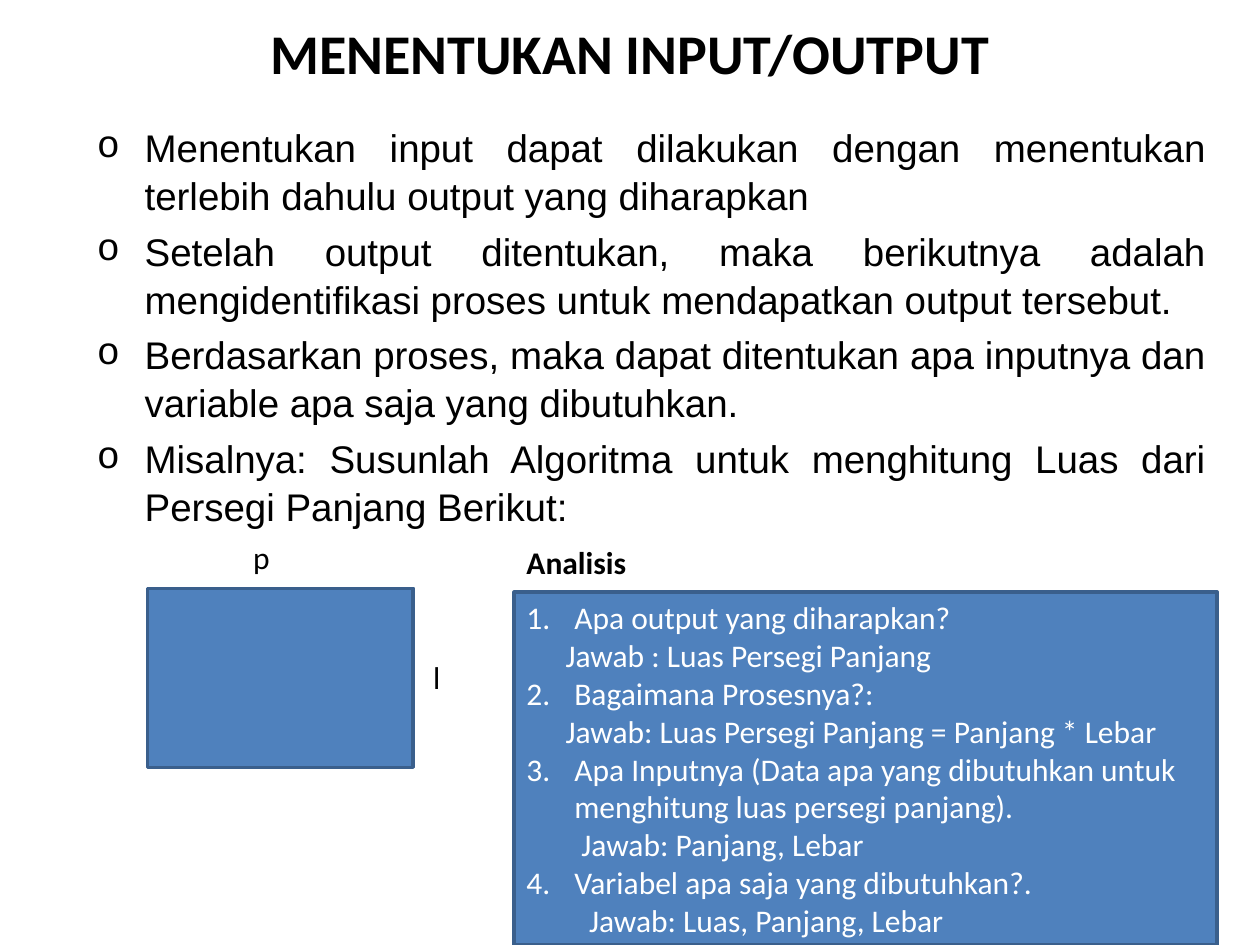
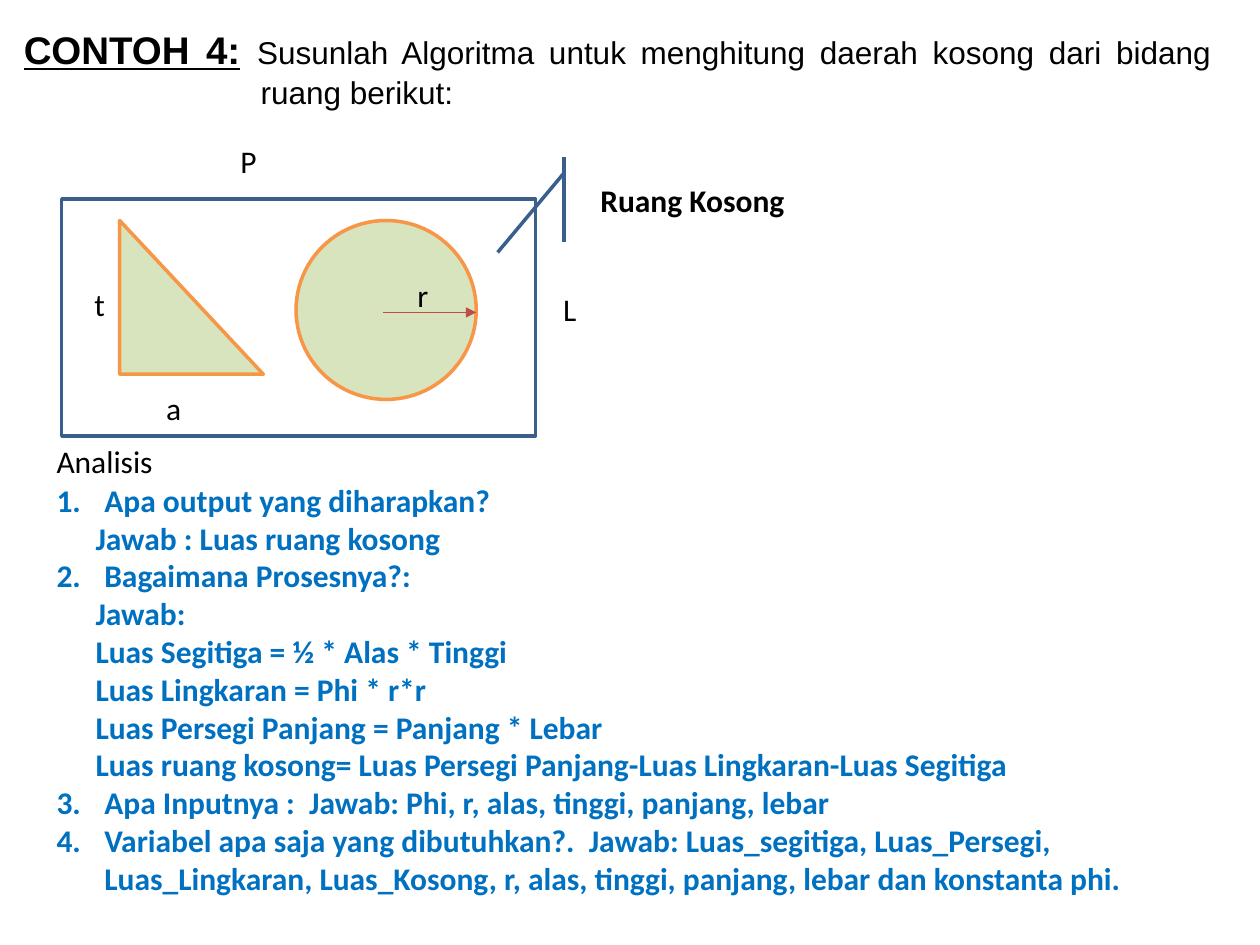
import pptx
import pptx.util
import pptx.dml.color
import pptx.enum.shapes
import pptx.enum.text
import pptx.oxml
import pptx.oxml.ns

COLUMNS, ROWS = 100, 75
SLIDE_WIDTH, SLIDE_HEIGHT = pptx.util.Inches(10), pptx.util.Inches(7.5)
HEADING_FONT, BODY_FONT = "Calibri", "Arial"
BLACK, WHITE = "000000", "FFFFFF"
BLUE, DARK_BLUE, ANSWER_BLUE = "4F81BD", "3A5F8C", "0070C0"
GREEN, ORANGE, RED = "D7E4BD", "F79646", "BF4C48"
HANG = 0.38
ANSWER_INDENT = 0.31
SHAPES = pptx.enum.shapes.MSO_SHAPE
ALIGN = pptx.enum.text.PP_ALIGN
ANCHOR = pptx.enum.text.MSO_ANCHOR


def color(value):
    return pptx.dml.color.RGBColor.from_string(value)


def across(columns):
    return round(SLIDE_WIDTH * columns / COLUMNS)


def down(rows):
    return round(SLIDE_HEIGHT * rows / ROWS)


def place(left, top, width, height):
    return across(left), down(top), across(width), down(height)


def format_run(run, size=18, font=HEADING_FONT, fill=BLACK, bold=False, underline=False):
    run.font.size = pptx.util.Pt(size)
    run.font.name = font
    run.font.color.rgb = color(fill)
    run.font.bold = bold
    run.font.underline = underline


def set_indent(paragraph, margin, first, bullet=None):
    properties = paragraph._p.get_or_add_pPr()
    properties.set("marL", str(pptx.util.Inches(margin)))
    properties.set("indent", str(pptx.util.Inches(first)))
    if bullet == "number":
        tag, attributes = "a:buAutoNum", {"type": "arabicPeriod"}
    elif bullet:
        font = pptx.oxml.ns.qn("a:buFont")
        properties.append(properties.makeelement(font, {"typeface": "Courier New"}))
        tag, attributes = "a:buChar", {"char": bullet}
    else:
        tag, attributes = "a:buNone", {}
    properties.append(properties.makeelement(pptx.oxml.ns.qn(tag), attributes))


def add_text(shapes, box, text="", wrap=True, anchor=ANCHOR.TOP, align=ALIGN.LEFT, **style):
    shape = shapes.add_textbox(*place(*box))
    write(shape, text, wrap, anchor, align, **style)
    return shape


def write(shape, text, wrap=True, anchor=ANCHOR.TOP, align=ALIGN.LEFT, **style):
    frame = shape.text_frame
    frame.word_wrap = wrap
    frame.vertical_anchor = anchor
    frame.text = text
    for paragraph in frame.paragraphs:
        paragraph.alignment = align
        for run in paragraph.runs:
            format_run(run, **style)


def add_figure(shapes, kind, box, fill=None, line=None):
    shape = shapes.add_shape(kind, *place(*box))
    shape.shadow.inherit = False
    if fill:
        shape.fill.solid()
        shape.fill.fore_color.rgb = color(fill)
    else:
        shape.fill.background()
    if line:
        shape.line.color.rgb = color(line)
        shape.line.width = pptx.util.Pt(2)
    else:
        shape.line.fill.background()
    return shape


def add_tag(shapes, box, text, fill):
    write(add_figure(shapes, SHAPES.RECTANGLE, box, fill), text, wrap=False)


def add_arrow(shapes, start, end, line):
    connector = shapes.add_connector(
        pptx.enum.shapes.MSO_CONNECTOR.STRAIGHT,
        across(start[0]), down(start[1]), across(end[0]), down(end[1]))
    connector.line.color.rgb = color(line)
    connector.line.width = pptx.util.Pt(0.75)
    outline = connector.line._get_or_add_ln()
    outline.append(outline.makeelement(pptx.oxml.ns.qn("a:tailEnd"), {"type": "triangle"}))
    properties = connector._element.spPr
    properties.append(properties.makeelement(pptx.oxml.ns.qn("a:effectLst"), {}))


def write_analysis(shape, entries, **style):
    write(shape, "\n".join(text for _, text in entries), anchor=ANCHOR.MIDDLE, **style)
    for paragraph, (margin, _) in zip(shape.text_frame.paragraphs, entries):
        if margin is None:
            set_indent(paragraph, HANG, -HANG, "number")
        else:
            paragraph.level = 1
            set_indent(paragraph, margin, 0)


def build_input_output(slide):
    shapes = slide.shapes
    add_text(shapes, (5, 0, 90, 8.3), "MENENTUKAN INPUT/OUTPUT", anchor=ANCHOR.MIDDLE,
             align=ALIGN.CENTER, size=32, bold=True)
    points = [
        "Menentukan input dapat dilakukan dengan menentukan terlebih dahulu output yang diharapkan",
        "Setelah output ditentukan, maka berikutnya adalah mengidentifikasi proses untuk "
        "mendapatkan output tersebut.",
        "Berdasarkan proses, maka dapat ditentukan apa inputnya dan variable apa saja yang "
        "dibutuhkan.",
        "Misalnya: Susunlah Algoritma untuk menghitung Luas dari Persegi Panjang Berikut:",
    ]
    body = add_text(shapes, (6.7, 9.2, 90, 63.3), "\n".join(points), align=ALIGN.JUSTIFY,
                    size=22, font=BODY_FONT)
    for paragraph in body.text_frame.paragraphs:
        paragraph.space_before = pptx.util.Pt(4.4)
        paragraph.line_spacing = 1.04
        set_indent(paragraph, HANG, -HANG, "o")

    drawing = shapes.add_group_shape().shapes
    add_figure(drawing, SHAPES.RECTANGLE, (11.7, 46.7, 21.1, 14.2), BLUE, DARK_BLUE)
    add_text(drawing, (19.1, 42.2, 3.1, 4), "p", wrap=False)
    add_text(drawing, (33.4, 51.7, 2.4, 4), "l", wrap=False)

    panel = add_figure(shapes, SHAPES.RECTANGLE, (40.8, 47, 55.8, 28), BLUE, DARK_BLUE)
    write_analysis(panel, [
        (None, "Apa output yang diharapkan?"),
        (ANSWER_INDENT, "Jawab : Luas Persegi Panjang"),
        (None, "Bagaimana Prosesnya?:"),
        (ANSWER_INDENT, "Jawab: Luas Persegi Panjang = Panjang * Lebar"),
        (None, "Apa Inputnya (Data apa yang dibutuhkan untuk menghitung luas persegi panjang)."),
        (HANG, " Jawab: Panjang, Lebar"),
        (None, "Variabel apa saja yang dibutuhkan?."),
        (0.44, " Jawab: Luas, Panjang, Lebar"),
    ], fill=WHITE)
    add_text(shapes, (40.8, 42.6, 11.2, 4), "Analisis", bold=True)


def build_example(slide):
    shapes = slide.shapes
    task = add_text(shapes, (0.9, 1.6, 96.2, 69.8), "CONTOH 4:", align=ALIGN.JUSTIFY,
                    size=22, font=BODY_FONT, bold=True, underline=True)
    paragraph = task.text_frame.paragraphs[0]
    paragraph.space_before = pptx.util.Pt(4.4)
    set_indent(paragraph, 1.88, -1.88)
    question = "Susunlah Algoritma untuk menghitung daerah kosong dari bidang ruang berikut:"
    for text, size in ((" ", 22), (question, 18)):
        run = paragraph.add_run()
        run.text = text
        format_run(run, size, BODY_FONT)

    analysis = add_text(shapes, (3.5, 37.9, 91.1, 33.5))
    write_analysis(analysis, [
        (None, "Apa output yang diharapkan?"),
        (ANSWER_INDENT, "Jawab : Luas ruang kosong"),
        (None, "Bagaimana Prosesnya?:"),
        (ANSWER_INDENT, "Jawab:"),
        (ANSWER_INDENT, "Luas Segitiga = ½ * Alas * Tinggi"),
        (ANSWER_INDENT, "Luas Lingkaran = Phi * r*r"),
        (ANSWER_INDENT, "Luas Persegi Panjang = Panjang * Lebar"),
        (ANSWER_INDENT, "Luas ruang kosong= Luas Persegi Panjang-Luas Lingkaran-Luas Segitiga"),
        (None, "Apa Inputnya :  Jawab: Phi, r, alas, tinggi, panjang, lebar"),
        (None, "Variabel apa saja yang dibutuhkan?.  Jawab: Luas_segitiga, Luas_Persegi, "
               "Luas_Lingkaran, Luas_Kosong, r, alas, tinggi, panjang, lebar dan konstanta phi."),
    ], fill=ANSWER_BLUE, bold=True)
    add_text(shapes, (3.5, 34.6, 11.2, 4), "Analisis")

    room = shapes.add_group_shape().shapes
    add_figure(room, SHAPES.RECTANGLE, (4.9, 15.8, 37.6, 18.8), WHITE, DARK_BLUE)
    add_text(room, (18.1, 10.8, 3.3, 4), "P", wrap=False)
    add_text(room, (43.7, 22.5, 3.1, 4), "L", wrap=False)

    triangle = shapes.add_group_shape().shapes
    add_tag(triangle, (6.5, 22.1, 2.6, 3.1), "t", WHITE)
    add_tag(triangle, (12.2, 30.4, 2.9, 3.1), "a", WHITE)
    add_figure(triangle, SHAPES.RIGHT_TRIANGLE, (9.5, 17.5, 11.4, 12.2), GREEN, ORANGE)

    circle = shapes.add_group_shape().shapes
    add_figure(circle, SHAPES.OVAL, (23.5, 17.5, 14.3, 14.2), GREEN, ORANGE)
    add_arrow(circle, (30.4, 24.8), (37.8, 24.8), RED)
    add_tag(circle, (32.2, 21.4, 1.9, 2.8), "r", GREEN)

    callout = add_figure(shapes, SHAPES.LINE_CALLOUT_1_ACCENT_BAR, (46.2, 12.5, 17.5, 6.7),
                         line=DARK_BLUE)
    write(callout, "Ruang Kosong", anchor=ANCHOR.MIDDLE, align=ALIGN.CENTER, bold=True)


def main():
    presentation = pptx.Presentation()
    presentation.slide_width, presentation.slide_height = SLIDE_WIDTH, SLIDE_HEIGHT
    for build in (build_input_output, build_example):
        build(presentation.slides.add_slide(presentation.slide_layouts[6]))
    presentation.save("out.pptx")


main()
